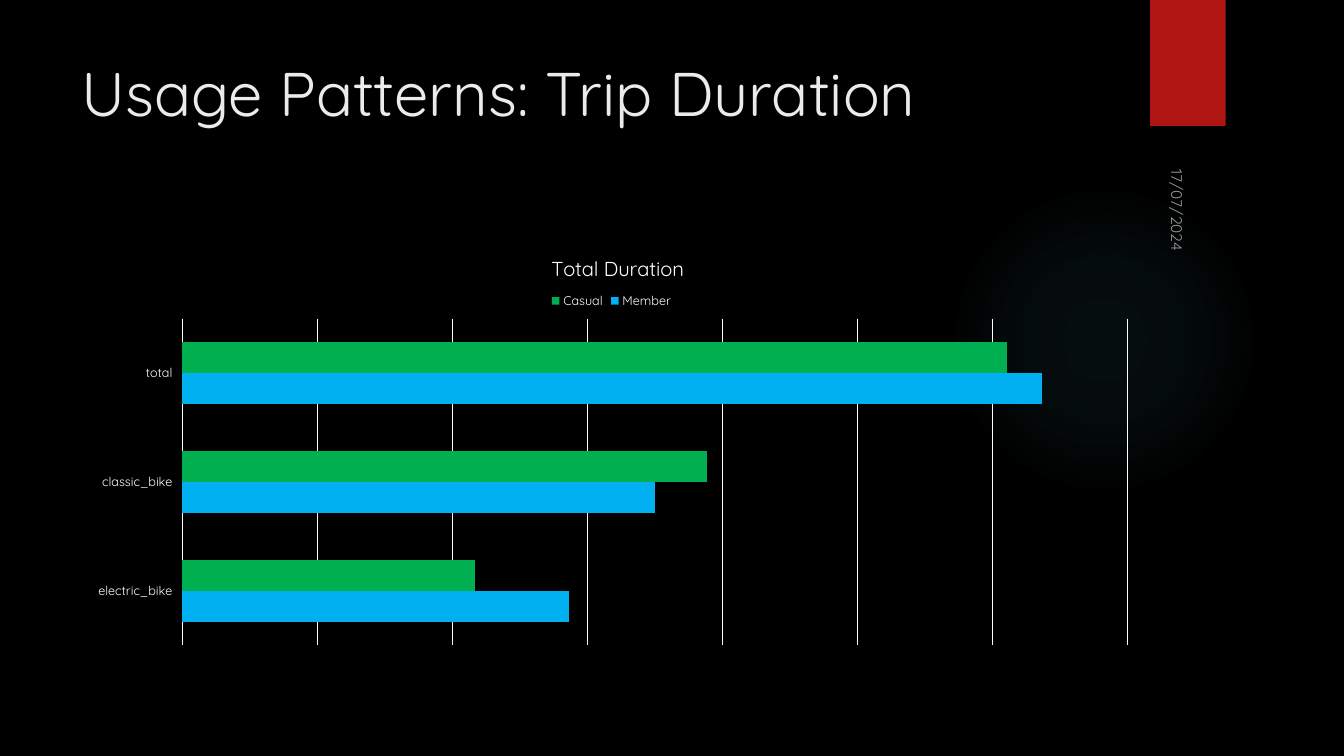
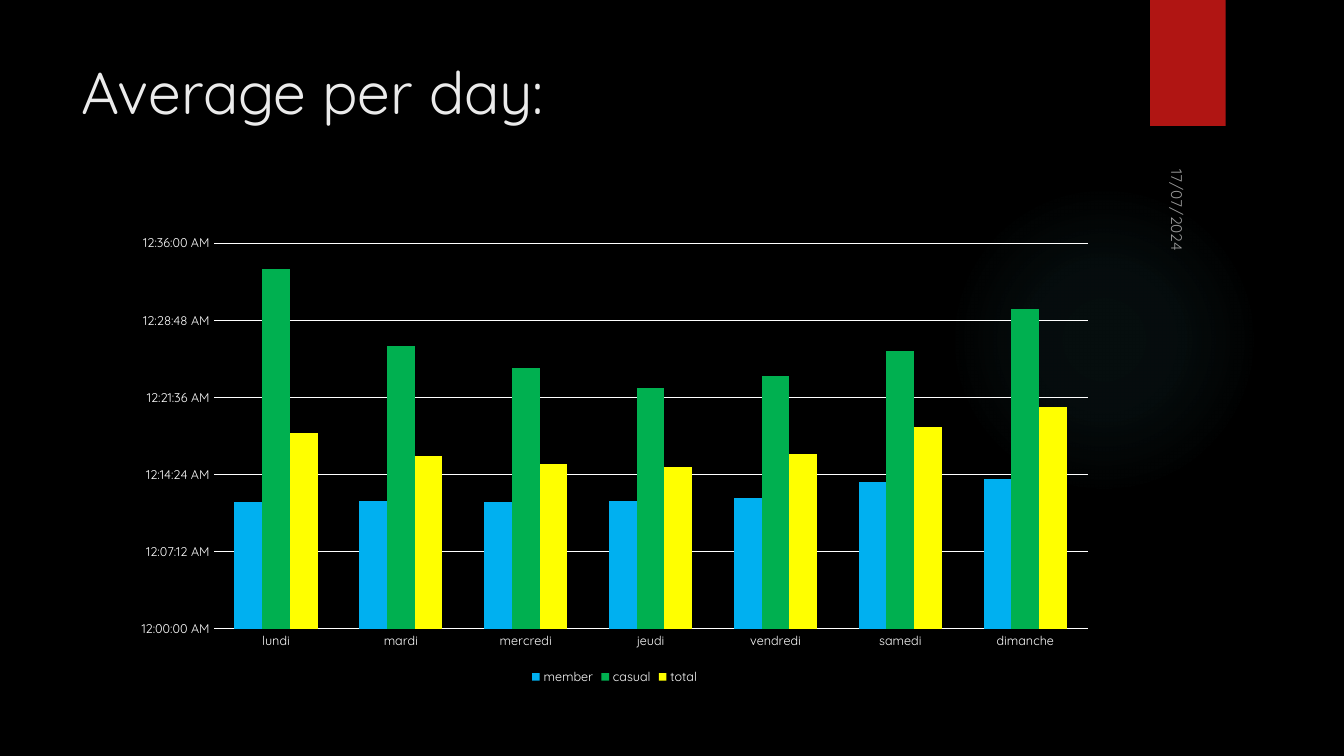
from lxml import etree
from pptx import Presentation
from pptx.chart.data import CategoryChartData
from pptx.dml.color import RGBColor
from pptx.enum import chart as chart_enum, shapes, text
from pptx.oxml import parse_xml
from pptx.oxml.ns import nsdecls, qn
from pptx.util import Pt

FONT = "Quicksand"
BLACK = RGBColor(0x00, 0x00, 0x00)
WHITE = RGBColor(0xFF, 0xFF, 0xFF)
TITLE_GRAY = RGBColor(0xEB, 0xEB, 0xEB)
RED = RGBColor(0xB0, 0x15, 0x13)
TEAL = RGBColor(0x50, 0xB9, 0xC1)
BLUE = RGBColor(0x00, 0xB0, 0xF0)
GREEN = RGBColor(0x00, 0xB0, 0x50)
YELLOW = RGBColor(0xFF, 0xFF, 0x00)

GLOW_STOPS = [(0, 7), (36, 6), (69, 0)]  # position and opacity in percent
GLOW_BOX = (677.5, 131.75, 221.75, 221.75)
TAB_BOX = (821.5, 0, 54, 90)
TITLE_BOX = (51, 36, 741, 110)
DATE_BOX = (800, 141, 78, 24)


def points(box):
    return [Pt(length) for length in box]


def style_font(font, size, color=WHITE):
    font.name = FONT
    font.size = Pt(size)
    font.bold = False
    font.color.rgb = color


# Shared parts
def add_plain_shape(slide, kind, box):
    shape = slide.shapes.add_shape(kind, *points(box))
    shape.shadow.inherit = False
    shape.line.fill.background()
    return shape


def add_glow(slide, box):
    shape = add_plain_shape(slide, shapes.MSO_SHAPE.OVAL, box)
    stops = "".join(
        f'<a:gs pos="{position * 1000}"><a:srgbClr val="{TEAL}">'
        f'<a:alpha val="{opacity * 1000}"/></a:srgbClr></a:gs>'
        for position, opacity in GLOW_STOPS)
    gradient = parse_xml(
        f'<a:gradFill {nsdecls("a")} rotWithShape="1"><a:gsLst>{stops}</a:gsLst>'
        '<a:path path="circle">'
        '<a:fillToRect l="50000" t="50000" r="50000" b="50000"/></a:path></a:gradFill>')
    shape._element.spPr.find(qn("a:prstGeom")).addnext(gradient)


def add_tab(slide, box):
    shape = add_plain_shape(slide, shapes.MSO_SHAPE.RECTANGLE, box)
    shape.fill.solid()
    shape.fill.fore_color.rgb = RED
    effects = shape._element.spPr.find(qn("a:effectLst"))
    effects.append(parse_xml(
        f'<a:outerShdw {nsdecls("a")} blurRad="{Pt(3)}" dist="{Pt(2)}" dir="5400000" '
        'rotWithShape="0"><a:srgbClr val="000000"><a:alpha val="45000"/>'
        '</a:srgbClr></a:outerShdw>'))


def add_text(slide, box, words, size, color):
    shape = slide.shapes.add_textbox(*points(box))
    frame = shape.text_frame
    frame.word_wrap = True
    frame.vertical_anchor = text.MSO_ANCHOR.TOP
    frame.text = words
    style_font(frame.paragraphs[0].font, size, color)
    return shape


def add_date(slide, box):
    shape = add_text(slide, box, "17/07/2024", 11, WHITE)
    shape.rotation = 90
    color = next(shape._element.iter(qn("a:srgbClr")))
    etree.SubElement(color, qn("a:alpha"), val="60000")


def add_base_slide(presentation, title, title_size):
    slide = presentation.slides.add_slide(presentation.slide_layouts[6])
    slide.background.fill.solid()
    slide.background.fill.fore_color.rgb = BLACK
    add_glow(slide, GLOW_BOX)
    add_tab(slide, TAB_BOX)
    add_text(slide, TITLE_BOX, title, title_size, TITLE_GRAY)
    add_date(slide, DATE_BOX)
    return slide


# Charts
def add_bars(slide, box, kind, categories, series, legend_position):
    """Add a clustered chart; series holds (name, color, values)."""
    data = CategoryChartData()
    data.categories = categories
    for name, _, values in series:
        data.add_series(name, values)
    chart = slide.shapes.add_chart(kind, *points(box), data).chart
    style_font(chart.font, 10)
    chart.has_title = False

    plot = chart.plots[0]
    plot.gap_width = 150
    plot.overlap = 0
    plot.vary_by_categories = False
    for bars, (_, color, _) in zip(plot.series, series):
        bars.format.fill.solid()
        bars.format.fill.fore_color.rgb = color

    for axis in (chart.category_axis, chart.value_axis):
        axis.major_tick_mark = chart_enum.XL_TICK_MARK.NONE
        axis.format.line.fill.background()
        style_font(axis.tick_labels.font, 9)
    chart.value_axis.has_major_gridlines = True
    grid_line = chart.value_axis.major_gridlines.format.line
    grid_line.color.rgb = WHITE
    grid_line.width = Pt(0.75)

    chart.has_legend = True
    chart.legend.position = legend_position
    chart.legend.include_in_layout = False
    style_font(chart.legend.font, 9)
    return chart


def scale_values(axis, maximum, step, number_format):
    axis.minimum_scale = 0
    axis.maximum_scale = maximum
    axis.major_unit = step
    axis.tick_labels.number_format = number_format
    axis.tick_labels.number_format_is_linked = False


def place_part(chart, tag, before, **fractions):
    """Place a chart part by fractions of the chart's size."""
    part = next(chart._chartSpace.iter(qn(tag)))
    for old_layout in part.findall(qn("c:layout")):
        part.remove(old_layout)
    layout = etree.Element(qn("c:layout"))
    manual = etree.SubElement(layout, qn("c:manualLayout"))
    if "w" in fractions:
        etree.SubElement(manual, qn("c:layoutTarget"), val="inner")
    for side in "xy":
        etree.SubElement(manual, qn(f"c:{side}Mode"), val="edge")
    for name, fraction in fractions.items():
        etree.SubElement(manual, qn(f"c:{name}"), val=str(fraction))
    previous = part.find(qn(before)) if before else None
    if previous is None:
        part.insert(0, layout)
    else:
        previous.addnext(layout)


def add_duration_chart(slide, box):
    chart = add_bars(
        slide, box, chart_enum.XL_CHART_TYPE.BAR_CLUSTERED,
        ["electric_bike", "classic_bike", "total"],
        [("Member", BLUE, [45, 55, 100]), ("Casual", GREEN, [34, 61, 96])],
        chart_enum.XL_LEGEND_POSITION.TOP)
    chart.category_axis.major_tick_mark = chart_enum.XL_TICK_MARK.OUTSIDE
    scale_values(chart.value_axis, 110, 15.71, "[h]:mm:ss;@")
    chart.value_axis.visible = False

    chart.has_title = True
    chart.chart_title.include_in_layout = False
    frame = chart.chart_title.text_frame
    frame.text = "Total Duration"
    style_font(frame.paragraphs[0].font, 14.4)

    place_part(chart, "c:title", "c:tx", x=0.44, y=0.05)
    place_part(chart, "c:legend", "c:legendPos", x=0.44, y=0.14)
    place_part(chart, "c:plotArea", None, x=0.1, y=0.21, w=0.88, h=0.77)


def add_daily_chart(slide, box):
    chart = add_bars(
        slide, box, chart_enum.XL_CHART_TYPE.COLUMN_CLUSTERED,
        ["lundi", "mardi", "mercredi", "jeudi", "vendredi", "samedi", "dimanche"],
        [("member", BLUE, [0.0082, 0.0083, 0.0082, 0.0083, 0.0085, 0.0095, 0.0097]),
         ("casual", GREEN, [0.0233, 0.0183, 0.0169, 0.0156, 0.0164, 0.018, 0.0207]),
         ("total", YELLOW, [0.0127, 0.0112, 0.0107, 0.0105, 0.0113, 0.0131, 0.0144])],
        chart_enum.XL_LEGEND_POSITION.BOTTOM)
    scale_values(chart.value_axis, 0.025, 0.005, r"[$-F400]h:mm:ss\ AM/PM")


def main():
    presentation = Presentation()
    presentation.slide_width = Pt(960)
    presentation.slide_height = Pt(540)

    slide = add_base_slide(presentation, "Usage Patterns: Trip Duration", 44)
    add_duration_chart(slide, (53.5, 164, 767.5, 303))

    slide = add_base_slide(presentation, "Average per day:", 42)
    add_daily_chart(slide, (87, 161.5, 704, 330.5))

    presentation.save("out.pptx")


if __name__ == "__main__":
    main()
